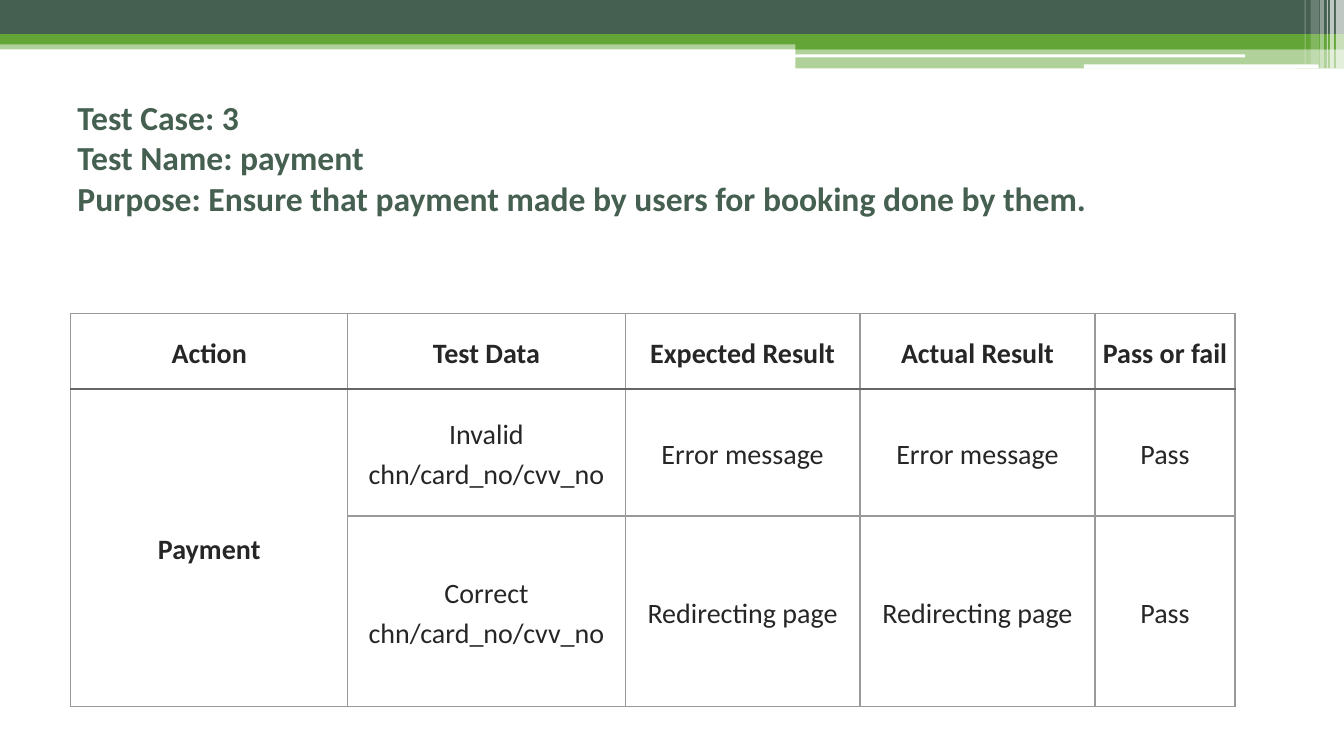
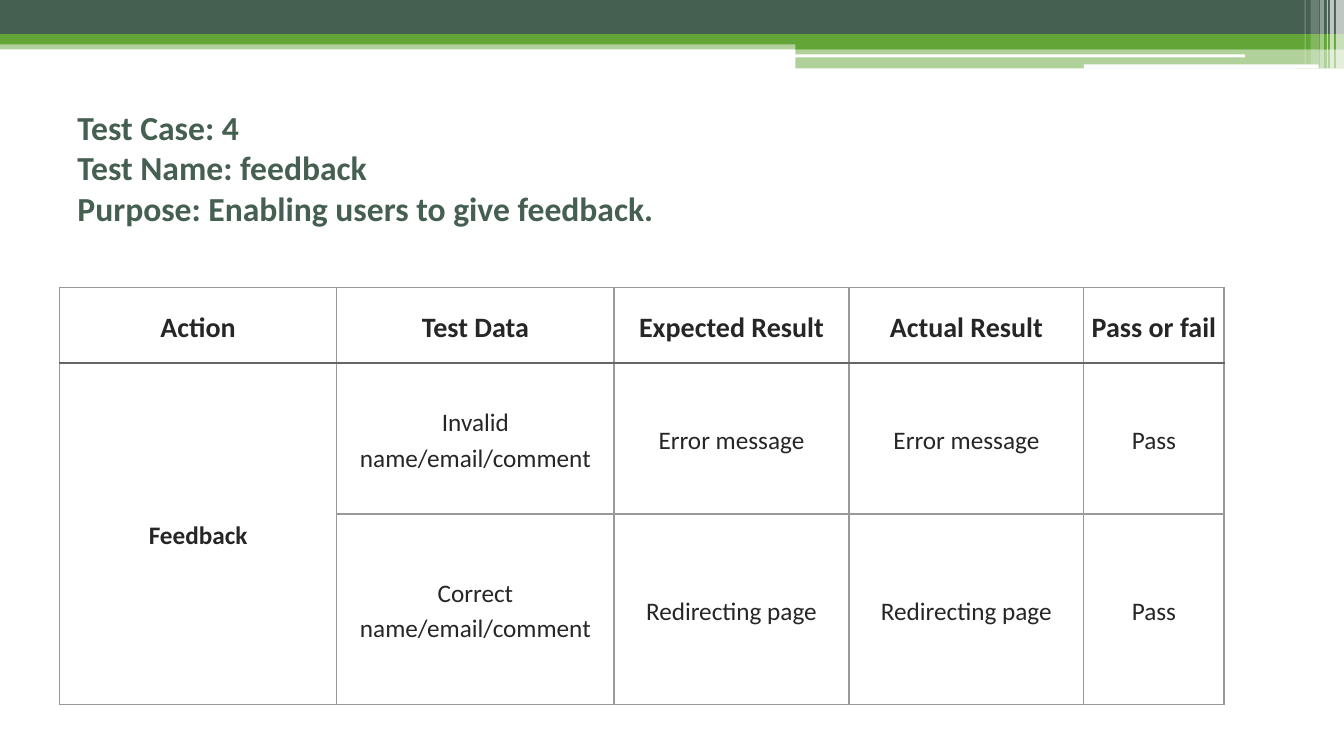
from lxml.etree import SubElement
from pptx import Presentation
from pptx.dml.color import RGBColor
from pptx.enum.shapes import MSO_SHAPE as Shape
from pptx.enum.text import MSO_ANCHOR as Anchor, PP_ALIGN as Align
from pptx.oxml.ns import qn
from pptx.util import Inches, Pt

DARK_GREEN = RGBColor(0x45, 0x5F, 0x51)
GREEN = RGBColor(0x63, 0xA5, 0x37)
WHITE = RGBColor(0xFF, 0xFF, 0xFF)
INK = RGBColor(0x26, 0x26, 0x26)
GRID = RGBColor(0x99, 0x99, 0x99)
HEADER_RULE = RGBColor(0x66, 0x66, 0x66)

FONT = "Calibri"
WIDTH, HEIGHT = 13.33, 7.5
SPLIT = 7.89

BANDS = [
    (0, 0.4, WIDTH, 0.09, GREEN, 50),
    (0, 0, WIDTH, 0.34, DARK_GREEN, 100),
    (0, 0.34, WIDTH, 0.1, GREEN, 100),
    (SPLIT, 0.39, WIDTH - SPLIT, 0.1, GREEN, 100),
    (SPLIT, 0.48, WIDTH - SPLIT, 0.2, GREEN, 50),
]
SLITS = [(7.88, 0.54, 4.47, 0.03, WHITE, 100), (10.75, 0.64, 2.33, 0.04, WHITE, 100)]
STRIPES = [
    (left, 0, width, height, WHITE, opacity)
    for left, width, height, opacity in [
        (13.25, 0.08, 0.68, 65),
        (13.19, 0.04, 0.68, 65),
        (13.16, 0.01, 0.68, 60),
        (13.09, 0.04, 0.68, 40),
        (13, 0.08, 0.64, 20),
        (12.94, 0.01, 0.64, 30),
    ]
]

HEADERS = ["Action", "Test Data", "Expected Result", "Actual Result", "Pass or fail"]
COLUMNS = [2.75, 2.75, 2.33, 2.33, 1.39]
OUTCOMES = [("Invalid", "Error message"), ("Correct", "Redirecting page")]

TEST_CASES = [
    {
        "number": 3,
        "name": "payment",
        "purpose": "Ensure that payment made by users for booking done by them.",
        "fields": "chn/card_no/cvv_no",
        "title_top": 0.95,
        "table_at": (0.7, 3.11),
        "rows": [0.75, 1.26, 1.89],
        "body_size": 20,
    },
    {
        "number": 4,
        "name": "feedback",
        "purpose": "Enabling users to give feedback.",
        "fields": "name/email/comment",
        "title_top": 1.05,
        "table_at": (0.59, 2.85),
        "rows": [0.75, 1.5, 1.89],
        "body_size": 18,
    },
]


def style(paragraph, size, color, bold):
    font = paragraph.font
    font.name, font.size, font.bold = FONT, Pt(size), bold
    font.color.rgb = color


def add_block(slide, kind, left, top, width, height, color, opacity):
    block = slide.shapes.add_shape(
        kind, Inches(left), Inches(top), Inches(width), Inches(height)
    )
    block.shadow.inherit = False
    block.line.fill.background()
    block.fill.solid()
    block.fill.fore_color.rgb = color
    if opacity < 100:
        tint = block.fill._xPr.find(qn("a:solidFill"))[0]
        SubElement(tint, qn("a:alpha"), val=str(opacity * 1000))


def add_banner(slide):
    for kind, blocks in [
        (Shape.RECTANGLE, BANDS),
        (Shape.ROUNDED_RECTANGLE, SLITS),
        (Shape.RECTANGLE, STRIPES),
    ]:
        for block in blocks:
            add_block(slide, kind, *block)


def add_title(slide, case):
    lines = [
        f"Test Case: {case['number']}",
        f"Test Name: {case['name']}",
        f"Purpose: {case['purpose']}",
    ]
    title = slide.shapes.add_textbox(
        Inches(0.67), Inches(case["title_top"]), Inches(12), Inches(1.22)
    ).text_frame
    title.word_wrap = True
    title.margin_top = title.margin_bottom = 0
    title.vertical_anchor = Anchor.MIDDLE
    title.text = "\n".join(lines)
    for paragraph in title.paragraphs:
        style(paragraph, 24, DARK_GREEN, True)


def draw_borders(cell, row):
    edges = {side: (GRID, 1) for side in "LRTB"}
    if row < 2:
        edges["B" if row == 0 else "T"] = (HEADER_RULE, 1.5)
    properties = cell._tc.get_or_add_tcPr()
    for side, (color, weight) in edges.items():
        line = SubElement(properties, qn(f"a:ln{side}"), w=str(Pt(weight)))
        SubElement(SubElement(line, qn("a:solidFill")), qn("a:srgbClr"), val=str(color))


def add_results(slide, case):
    rows = [HEADERS]
    for validity, result in OUTCOMES:
        action = "" if len(rows) > 1 else case["name"].capitalize()
        rows.append([action, f"{validity} {case['fields']}", result, result, "Pass"])
    left, top = case["table_at"]
    results = slide.shapes.add_table(
        len(rows), len(COLUMNS), Inches(left), Inches(top),
        Inches(sum(COLUMNS)), Inches(sum(case["rows"])),
    ).table
    results.first_row = results.horz_banding = False
    for column, width in zip(results.columns, COLUMNS):
        column.width = Inches(width)
    for row, height in zip(results.rows, case["rows"]):
        row.height = Inches(height)
    for r, texts in enumerate(rows):
        for c, text in enumerate(texts):
            cell = results.cell(r, c)
            draw_borders(cell, r)
            cell.fill.background()
            cell.margin_left = cell.margin_right = Inches(0.05)
            cell.margin_top = cell.margin_bottom = 0
            cell.vertical_anchor = Anchor.MIDDLE
            cell.text = text
            paragraph = cell.text_frame.paragraphs[0]
            paragraph.alignment = Align.CENTER
            paragraph.line_spacing = 1.15
            style(paragraph, case["body_size"] if r else 20, INK, r == 0 or c == 0)
    results.cell(1, 0).merge(results.cell(2, 0))


def main():
    deck = Presentation()
    deck.slide_width, deck.slide_height = Inches(WIDTH), Inches(HEIGHT)
    for case in TEST_CASES:
        slide = deck.slides.add_slide(deck.slide_layouts[6])
        add_banner(slide)
        add_title(slide, case)
        add_results(slide, case)
    deck.save("out.pptx")


if __name__ == "__main__":
    main()
